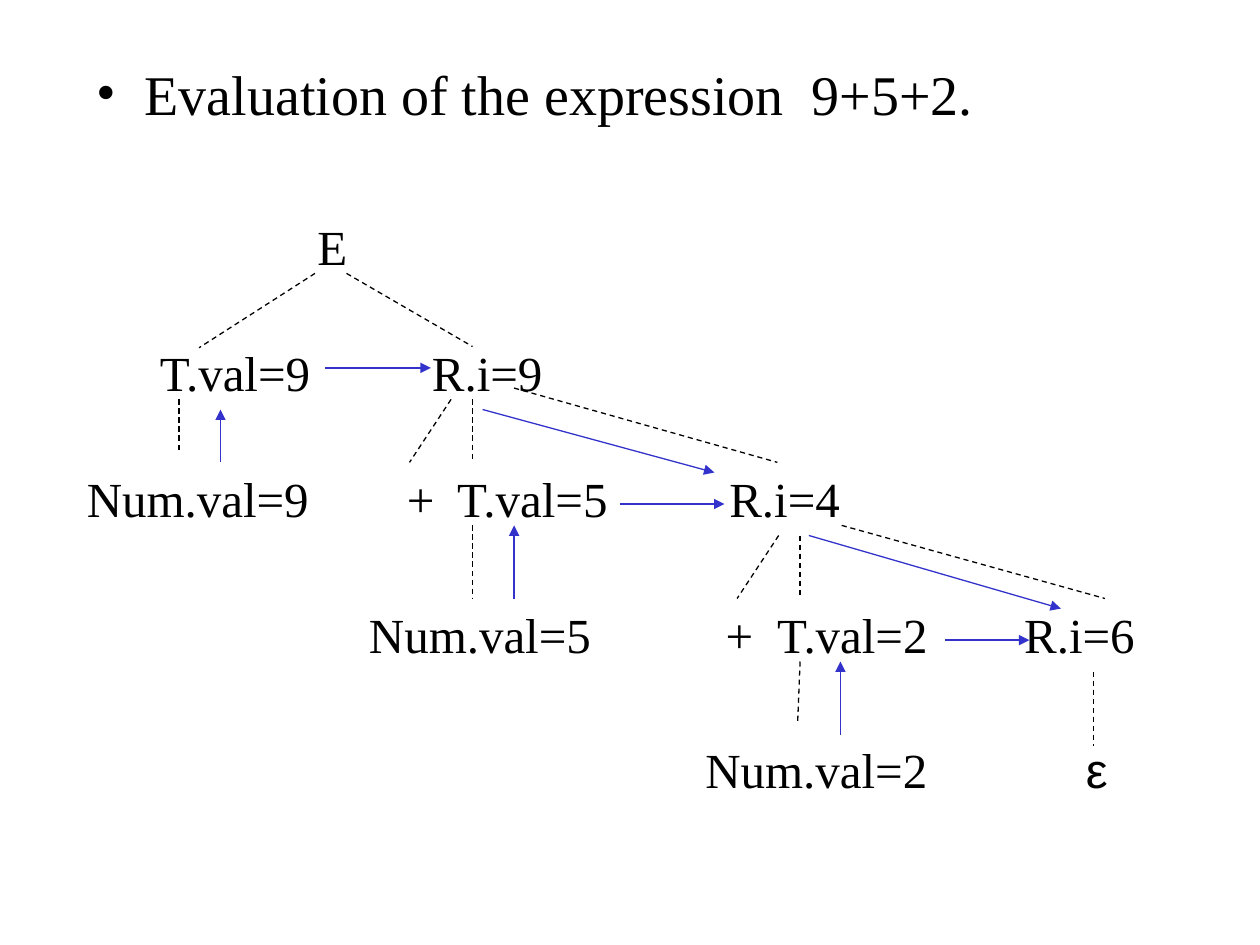
from dataclasses import dataclass

import pptx
import pptx.dml.color
import pptx.enum.dml
import pptx.enum.shapes
import pptx.oxml
import pptx.oxml.ns
import pptx.util
from pptx.util import Inches


@dataclass(frozen=True)
class Theme:
    ink: str = "000000"
    flow: str = "3333CC"
    serif: str = "Times New Roman"
    sans: str = "Arial"
    heading_size: int = 32
    node_size: int = 28
    line_width: float = 0.75


theme = Theme()
qn = pptx.oxml.ns.qn


def add_text(left, top, width, height, runs, size, tab_stops=()):
    """Place one line of (text, font) runs and return its paragraph."""
    frame = slide.shapes.add_textbox(
        Inches(left), Inches(top), Inches(width), Inches(height)).text_frame
    frame.word_wrap = True
    paragraph = frame.paragraphs[0]
    for words, font_name in runs:
        run = paragraph.add_run()
        run.text = words
        run.font.name = font_name
        run.font.size = pptx.util.Pt(size)
        run.font.color.rgb = pptx.dml.color.RGBColor.from_string(theme.ink)
    if tab_stops:
        properties = paragraph._p.get_or_add_pPr()
        tabs = pptx.oxml.ns.qn("a:tabLst")
        tab_list = properties.makeelement(tabs, {})
        properties.append(tab_list)
        for stop in tab_stops:
            tab_list.append(tab_list.makeelement(
                qn("a:tab"), {"pos": str(Inches(stop)), "algn": "l"}))
    return paragraph


def add_line(x1, y1, x2, y2, color):
    line = slide.shapes.add_connector(
        pptx.enum.shapes.MSO_CONNECTOR.STRAIGHT,
        Inches(x1), Inches(y1), Inches(x2), Inches(y2))
    line.line.color.rgb = pptx.dml.color.RGBColor.from_string(color)
    line.line.width = pptx.util.Pt(theme.line_width)
    properties = line._element.spPr
    properties.append(properties.makeelement(qn("a:effectLst"), {}))
    return line.line


deck = pptx.Presentation()
deck.slide_width, deck.slide_height = Inches(10), Inches(7.5)
slide = deck.slides.add_slide(deck.slide_layouts[6])

# Heading bullet
heading = add_text(0.67, 0.42, 8.5, 5,
                   [("Evaluation of the expression  9+5+2.", theme.serif)],
                   theme.heading_size)
heading.space_before = pptx.util.Pt(8)
heading_properties = heading._p.get_or_add_pPr()
heading_properties.set("marL", str(Inches(0.38)))
heading_properties.set("indent", str(-Inches(0.38)))
for tag, attributes in (("a:buFont", {"typeface": theme.serif}),
                        ("a:buChar", {"char": "•"})):
    heading_properties.append(
        heading_properties.makeelement(qn(tag), attributes))

# Tree levels: left, top, width, runs, tab stops
levels = [
    (2.42, 1.67, 0.44, [("E", theme.serif)], ()),
    (1.17, 2.67, 4.58, [("T.val=9\tR.i=9", theme.serif)], (2.16,)),
    (0.59, 3.67, 6.22, [("Num.val=9\t+\tT.val=5\tR.i=4", theme.serif)],
     (2.54, 2.94, 5.1)),
    (2.83, 4.75, 6.42, [("Num.val=5\t+\tT.val=2\tR.i=6", theme.serif)],
     (2.83, 3.24, 5.2)),
    (5.5, 5.82, 3.64, [("Num.val=2\t", theme.serif), ("ε", theme.sans)],
     (3.02,)),
]
for left, top, width, runs, tab_stops in levels:
    add_text(left, top, width, 0.57, runs, theme.node_size, tab_stops)

# Parse tree branches
branches = [
    (2.5, 2.17, 1.58, 2.76), (2.75, 2.17, 3.75, 2.75),
    (1.42, 3.17, 1.42, 3.58), (3.58, 3.17, 3.25, 3.67),
    (3.75, 3.17, 3.75, 3.67), (4.08, 3.08, 6.17, 3.67),
    (3.75, 4.17, 3.75, 4.75), (6.18, 4.25, 5.85, 4.75),
    (6.35, 4.25, 6.35, 4.75), (6.68, 4.17, 8.77, 4.75),
    (6.35, 5.25, 6.33, 5.75), (8.68, 5.33, 8.68, 5.92),
]
for ends in branches:
    branch = add_line(*ends, theme.ink)
    branch.dash_style = pptx.enum.dml.MSO_LINE.DASH

# Attribute flow arrows
flows = [
    (1.75, 3.67, 1.75, 3.25), (2.58, 2.92, 3.42, 2.92),
    (3.83, 3.25, 5.67, 3.75), (4.08, 4.75, 4.08, 4.17),
    (4.92, 4, 5.75, 4), (6.42, 4.25, 8.42, 4.83),
    (6.67, 5.83, 6.67, 5.25), (7.5, 5.08, 8.17, 5.08),
]
for ends in flows:
    outline = add_line(*ends, theme.flow)._get_or_add_ln()
    outline.append(outline.makeelement(qn("a:tailEnd"), {"type": "triangle"}))

deck.save("out.pptx")
